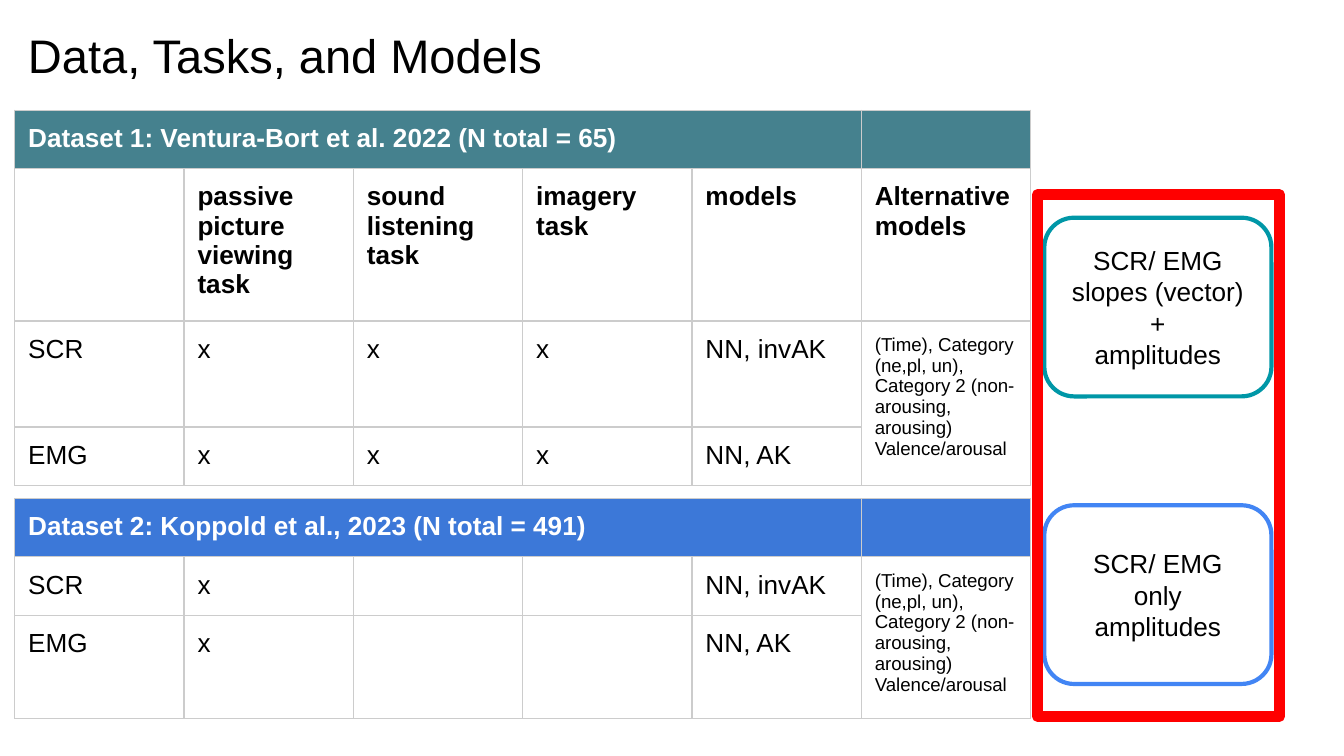
from dataclasses import dataclass

from lxml import etree
from pptx import Presentation
from pptx.dml.color import RGBColor
from pptx.enum.shapes import MSO_SHAPE as Shape
from pptx.enum.text import MSO_ANCHOR as Anchor, PP_ALIGN as Align
from pptx.oxml import parse_xml
from pptx.oxml.ns import nsdecls, qn
from pptx.util import Inches, Pt


@dataclass(frozen=True)
class Theme:
    font: str = "Arial"
    black: str = "000000"
    white: str = "FFFFFF"
    grid: str = "CCCCCC"
    dataset1: str = "45818E"
    dataset2: str = "3C78D8"
    teal: str = "0097A7"
    blue: str = "4285F4"
    red: str = "FF0000"
    title: float = 25.2
    body: float = 14
    small: float = 10


class SlideBuilder:
    def __init__(self, prs, theme):
        self.theme = theme
        self.s = prs.slides.add_slide(prs.slide_layouts[6])

    def pad(self, target):
        """Set equal margins on a text frame or a table cell."""
        target.margin_left = target.margin_right = Inches(0.1)
        target.margin_top = target.margin_bottom = Inches(0.1)

    def style(self, tf, size, color, bold=False, align=Align.LEFT, spacing=None):
        for p in tf.paragraphs:
            p.alignment = align
            p.line_spacing = spacing
            for r in p.runs:
                r.font.name = self.theme.font
                r.font.size = Pt(size)
                r.font.bold = bold
                r.font.color.rgb = RGBColor.from_string(color)

    def title(self, text, box):
        tf = self.s.shapes.add_textbox(*map(Inches, box)).text_frame
        tf.text = text
        tf.word_wrap = True
        tf.vertical_anchor = Anchor.BOTTOM
        self.pad(tf)
        self.style(tf, self.theme.title, self.theme.black)

    def borders(self, cell):
        tc_pr = cell._tc.get_or_add_tcPr()
        for side in ("lnL", "lnR", "lnT", "lnB"):
            tc_pr.append(parse_xml(
                f'<a:{side} {nsdecls("a")} w="{Pt(0.75)}"><a:solidFill>'
                f'<a:srgbClr val="{self.theme.grid}"/></a:solidFill></a:{side}>'))

    def cell(self, cell, text, size, color, bold, fill):
        cell.text = text
        self.pad(cell)
        self.style(cell.text_frame, size, color, bold, spacing=1.0)
        if not text:
            # keeps an empty cell from growing its row
            p = cell.text_frame.paragraphs[0]._p
            etree.SubElement(p, qn("a:endParaRPr"), sz=str(size * 100))
        self.borders(cell)
        if fill:
            cell.fill.solid()
            cell.fill.fore_color.rgb = RGBColor.from_string(fill)
        else:
            cell.fill.background()

    def table(self, box, heights, heading, rows, fill):
        """Draw a dataset table; its last column merges over the bottom two rows."""
        th = self.theme
        data = [[heading] + [""] * 5, *rows]
        cols, last = len(data[0]), len(data) - 1
        frame = self.s.shapes.add_table(len(data), cols, *map(Inches, box))
        tbl = frame.table
        tbl.first_row = tbl.horz_banding = False
        for i, (row, height) in enumerate(zip(data, heights)):
            tbl.rows[i].height = Inches(height)
            for j, text in enumerate(row):
                is_head = i == 0
                is_merged = j == cols - 1 and i >= last - 1
                self.cell(tbl.cell(i, j), text,
                          th.small if is_merged else th.body,
                          th.white if is_head else th.black,
                          bold=i < last - 1, fill=fill if is_head else None)
        tbl.cell(0, 0).merge(tbl.cell(0, cols - 2))
        tbl.cell(last - 1, cols - 1).merge(tbl.cell(last, cols - 1))
        frame.height = Inches(box[3])

    def outline(self, kind, box, color, width):
        sp = self.s.shapes.add_shape(kind, *map(Inches, box))
        sp.shadow.inherit = False
        sp.fill.background()
        sp.line.color.rgb = RGBColor.from_string(color)
        sp.line.width = Pt(width)
        etree.SubElement(sp.line._get_or_add_ln(), qn("a:round"))
        return sp

    def card(self, text, box, color):
        sp = self.outline(Shape.ROUNDED_RECTANGLE, box, color, 2.25)
        sp.fill.solid()
        sp.fill.fore_color.rgb = RGBColor.from_string(self.theme.white)
        tf = sp.text_frame
        tf.text = text
        tf.word_wrap = True
        tf.vertical_anchor = Anchor.MIDDLE
        self.pad(tf)
        self.style(tf, self.theme.body, self.theme.black, align=Align.CENTER)


def main():
    prs = Presentation()
    prs.slide_width = Inches(10)
    prs.slide_height = prs.slide_width * 9 // 16
    th = Theme()
    b = SlideBuilder(prs, th)
    b.title("Data, Tasks, and Models", (0.11, 0.09, 9.32, 0.63))

    alternatives = ("(Time), Category (ne,pl, un),\n"
                    "Category 2 (non-arousing, arousing) Valence/arousal")
    columns = ["", "passive picture viewing task", "sound listening task",
               "imagery task", "models", "Alternative models"]
    b.table((0.11, 0.82, 7.56, 2.79), [0.39, 0.99, 0.79, 0.38],
            "Dataset 1: Ventura-Bort et al. 2022 (N total = 65)",
            [columns,
             ["SCR", "x", "x", "x", "NN, invAK", alternatives],
             ["EMG", "x", "x", "x", "NN, AK", ""]], th.dataset1)
    b.table((0.11, 3.71, 7.56, 1.63), [0.42, 0.42, 0.42],
            "Dataset 2: Koppold et al., 2023 (N total = 491)",
            [["SCR", "x", "", "", "NN, invAK", alternatives],
             ["EMG", "x", "", "", "NN, AK", ""]], th.dataset2)

    for text, top, color in (("SCR/ EMG slopes (vector) +\namplitudes", 1.62, th.teal),
                             ("SCR/ EMG only\namplitudes", 3.76, th.blue)):
        b.card(text, (7.77, top, 1.69, 1.33), color)
    b.outline(Shape.RECTANGLE, (7.72, 1.45, 1.8, 3.88), th.red, 6)
    prs.save("out.pptx")


if __name__ == "__main__":
    main()
